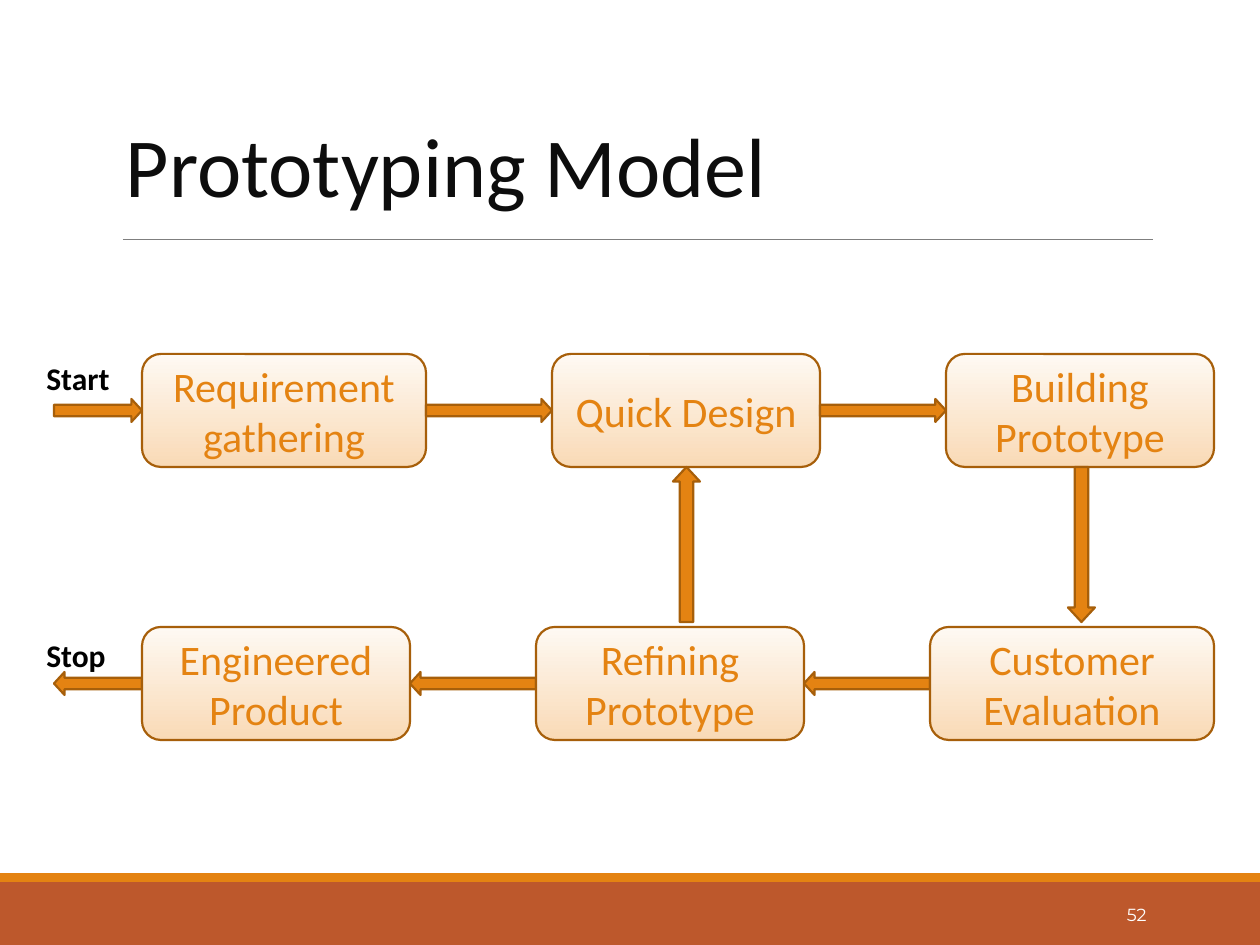
from lxml.etree import SubElement
from pptx import Presentation
from pptx.dml.color import RGBColor
from pptx.enum.shapes import MSO_CONNECTOR, MSO_SHAPE as Shape
from pptx.enum.text import MSO_ANCHOR as Anchor, PP_ALIGN as Align
from pptx.oxml.ns import qn
from pptx.util import Pt

PX = 914400 / 126
ORANGE, RUST, BROWN = "E48312", "BD582C", "A75F0A"
STEP_H, GAP, ARROW_H = 113, 126, 23


def px(*lengths):
    """Turn pixel lengths into EMU."""
    return [round(length * PX) for length in lengths]


def color(hex_code):
    """Return the colour for a hex string."""
    return RGBColor.from_string(hex_code)


def add_block(slide, kind, box, fill=None, line=None):
    """Add a preset shape, plain filled if a fill is given."""
    block = slide.shapes.add_shape(kind, *px(*box))
    block.shadow.inherit = False
    if fill:
        block.fill.solid()
        block.fill.fore_color.rgb = color(fill)
    if line:
        block.line.color.rgb = color(line)
        block.line.width = Pt(1.25)
    else:
        block.line.fill.background()
    return block


def write(holder, text, size, hex_code, font="Calibri", align=Align.LEFT,
          anchor=Anchor.MIDDLE, bold=False):
    """Write one wrapped paragraph into a shape and return it."""
    frame = holder.text_frame
    frame.word_wrap = True
    frame.vertical_anchor = anchor
    paragraph = frame.paragraphs[0]
    paragraph.text = text
    paragraph.alignment = align
    paragraph.font.size = Pt(size)
    paragraph.font.name = font
    paragraph.font.bold = bold
    paragraph.font.color.rgb = color(hex_code)
    return paragraph


def add_arrow(slide, kind, box, head):
    """Add an orange block arrow with the given head ratio."""
    arrow = add_block(slide, kind, box, ORANGE, BROWN)
    arrow.adjustments[1] = head


def add_step(slide, box, text):
    """Add a rounded process step with a soft vertical gradient."""
    step = add_block(slide, Shape.ROUNDED_RECTANGLE, box, line=BROWN)
    step.fill.gradient()
    step.fill.gradient_angle = 270
    for stop, shade in zip(step.fill.gradient_stops, ("FEF9F3", "F9DAB6")):
        stop.color.rgb = color(shade)
    write(step, text, 24, ORANGE, align=Align.CENTER)


def add_header(slide, left, top, width, height):
    """Add the title and the rule below it."""
    title = slide.shapes.add_textbox(*px(left, top, width, height))
    title.text_frame.margin_left, title.text_frame.margin_right = px(3, 3)
    write(title, "Prototyping Model", 48, "0D0D0D").line_spacing = 0.85
    rule_y = top + 146
    rule = slide.shapes.add_connector(
        MSO_CONNECTOR.STRAIGHT, *px(left, rule_y, left + 1030, rule_y))
    rule.line.color.rgb = color("7F7F7F")
    rule.line.width = Pt(0.5)
    SubElement(rule._element.spPr, qn("a:effectLst"))


def add_footer(slide, left, top, width, height):
    """Add the two-colour band with the slide number."""
    stripe = 9
    add_block(slide, Shape.RECTANGLE, (left, top + stripe, width, height - stripe), RUST)
    add_block(slide, Shape.RECTANGLE, (left, top, width, stripe), ORANGE)
    number = slide.shapes.add_textbox(*px(left + 1023, top + 17, 136, 50))
    write(number, "52", 10, "FFFFFF", "Montserrat", Align.RIGHT)


def add_flow_row(slide, left, top, steps, arrow, label, label_dy):
    """Add an end label and steps, with an arrow leading up to each step."""
    arrow_y = top + (STEP_H - ARROW_H) // 2
    x, arrow_w = left, 88
    for text, width in steps:
        add_arrow(slide, arrow, (x, arrow_y, arrow_w, ARROW_H), 0.46)
        x += arrow_w
        add_step(slide, (x, top, width, STEP_H), text)
        x += width
        arrow_w = GAP
    end = slide.shapes.add_textbox(*px(left - 20, top + label_dy, 175, 50))
    write(end, label, 18, "000000", anchor=Anchor.TOP, bold=True)


def add_feedback(slide, left, top, height):
    """Add the vertical arrows that join the two rows."""
    for x, kind in ((left, Shape.UP_ARROW), (left + 395, Shape.DOWN_ARROW)):
        add_arrow(slide, kind, (x, top, 27, height), 0.54)


def main():
    """Build and save the slide."""
    deck = Presentation()
    deck.slide_width, deck.slide_height = px(1260, 945)
    slide = deck.slides.add_slide(deck.slide_layouts[6])
    add_footer(slide, 0, 873, 1260, 72)
    add_header(slide, 123, 93, 1071, 157)
    add_flow_row(slide, 54, 354, [("Requirement gathering", 284), ("Quick Design", 268),
                                  ("Building Prototype", 268)],
                 Shape.RIGHT_ARROW, "Start", -1)
    add_flow_row(slide, 54, 627, [("Engineered Product", 268), ("Refining Prototype", 268),
                                  ("Customer Evaluation", 284)],
                 Shape.LEFT_ARROW, "Stop", 3)
    add_feedback(slide, 673, 467, 155)
    deck.save("out.pptx")


if __name__ == "__main__":
    main()
